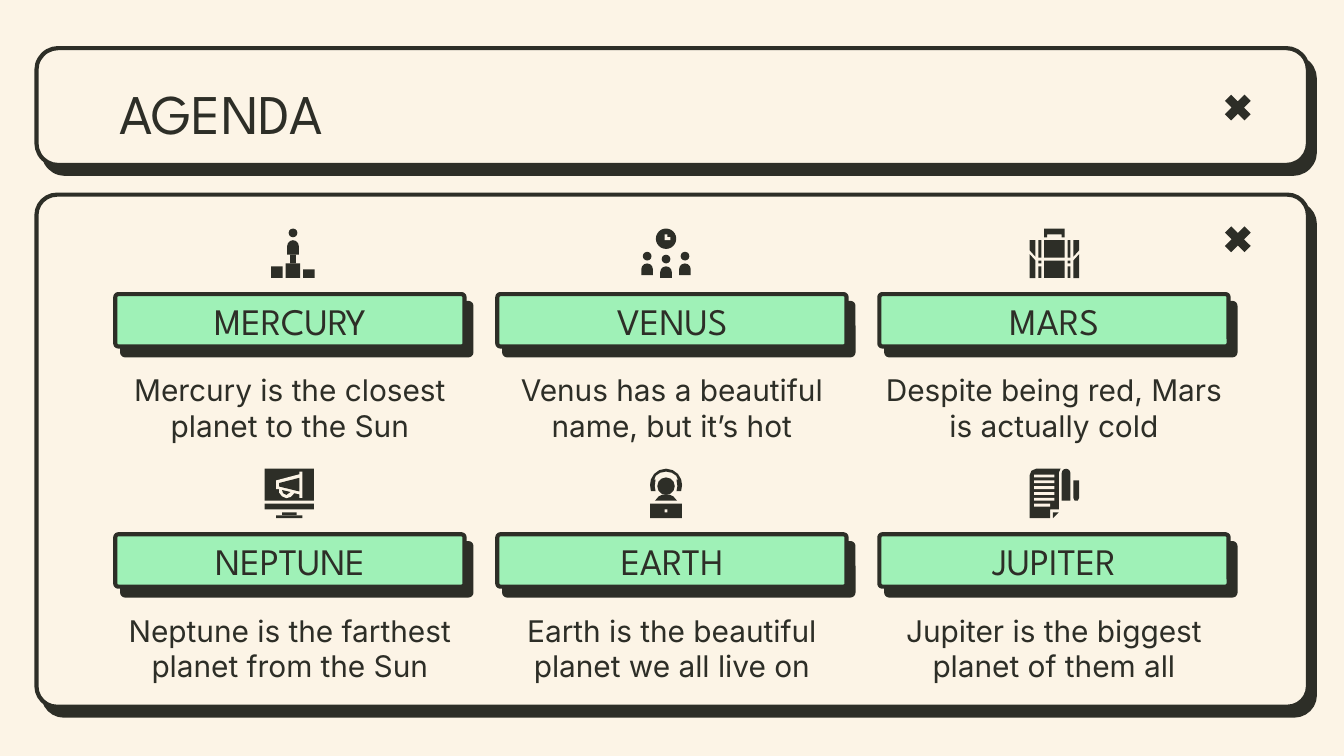
from lxml import etree
from pptx import Presentation, util as u
from pptx.dml.color import RGBColor
from pptx.enum import shapes, text
from pptx.oxml import ns

COLORS = {"ink": "2D2E27", "paper": "FCF4E6", "mint": "9FF1B7"}
HEAD_FONT, BODY_FONT = "League Spartan", "Inter"
PRESETS = {
    "rect": shapes.MSO_SHAPE.RECTANGLE,
    "oval": shapes.MSO_SHAPE.OVAL,
    "dome": shapes.MSO_SHAPE.ROUND_2_SAME_RECTANGLE,
}
ICON_UNIT, ICON_SPAN = 0.055, 17
COL_LEFT, COL_STEP, ROW_STEP = 2.18, 7.22, 4.54


def mirror(points):
    """Reflect points about the vertical axis of an icon."""
    return [(ICON_SPAN - x, y) for x, y in reversed(points)]


HEADSET = [(8.5, 0), (10.8, 0.5), (12.6, 1.8), (13.7, 3.7), (14, 5.6), (13.7, 7.7),
           (12.1, 7.7), (12.4, 6), (12.1, 3.8), (12.6, 3.8), (12, 2.4), (10.5, 1.4), (8.5, 1)]
SHOULDER = [(4.7, 11), (6, 9.5), (7.3, 8.9), (8.5, 8.8)]
BAG_TOP = [(0, 4), (2, 4), (2, 9.7), (0, 7.5)]
BAG_BASE = [(0, 8.8), (2, 11), (2, 17), (0, 17)]

PODIUM = [
    ("oval", "ink", [(7, 0, 3, 3)]),
    ("dome", "ink", [(6.5, 4, 4, 5)]),
    ("rect", "ink", [(7.5, 9, 2, 3), (6, 12, 5, 5), (1, 13, 4, 4), (12, 14, 4, 3)]),
]
MEETING = [
    ("oval", "ink", [(5, 0, 7, 7), (0.5, 8, 3, 3), (7, 9, 3, 3), (13.5, 8, 3, 3)]),
    ("dome", "ink", [(0, 12, 4, 4), (6.5, 13, 4, 4), (13, 12, 4, 4)]),
    ("poly", "paper", [[(8, 2), (9, 2), (9, 3), (10, 3), (10, 4), (8, 4)]]),
]
SUITCASE = [
    ("poly", "ink", [
        [(5, 0), (12, 0), (12, 3), (11, 3), (11, 2), (6, 2), (6, 3), (5, 3)],
        BAG_TOP, BAG_BASE, mirror(BAG_TOP), mirror(BAG_BASE)]),
    ("rect", "ink", [(5, 4, 7, 6), (5, 11, 7, 6)]
     + [(x, y, 1, h) for x in (3, 13) for y, h in ((4, 6), (11, 1), (13, 4))]),
]
MONITOR = [
    ("rect", "ink", [(0, 0, 17, 11), (0, 12, 17, 2), (6, 15, 5, 1), (4, 16, 9, 1)]),
    ("poly", "paper", [[(13, 1), (13, 10), (12, 10), (12, 8.8), (10.2, 8.4), (9, 9.7),
                        (7.5, 10.1), (6, 9.5), (5, 8.2), (5, 7), (4, 7), (4, 4),
                        (12, 1.9), (12, 1)]]),
    ("poly", "ink", [[(12, 3.1), (5, 4.9), (5, 6.1), (12, 7.8)],
                     [(6, 7.3), (6.4, 8.4), (7.5, 9), (8.9, 8)]]),
]
OPERATOR = [
    ("poly", "ink", [HEADSET + mirror(HEADSET), SHOULDER + mirror(SHOULDER)]),
    ("oval", "ink", [(5.5, 3, 6, 6)]),
    ("rect", "ink", [(3, 12, 11, 5)]),
    ("rect", "paper", [(8, 14, 1, 1)]),
]
DOCUMENT = [
    ("poly", "ink", [
        [(0, 2.2), (0.6, 0.7), (2.2, 0), (10.6, 0), (10, 1.4), (10, 14), (7, 14), (7, 17), (0, 17)],
        [(8, 15), (10, 15), (8, 17)],
        [(15, 4), (17, 4), (17, 10), (16.5, 11), (15.5, 11), (15, 10)]]),
    ("dome", "ink", [(11, 0, 3, 11)]),
    ("rect", "paper", [(1.5, y, 7, 1) for y in range(2, 12, 2)] + [(1.5, 12, 5.5, 1)]),
]

TOPICS = [
    [("MERCURY", "Mercury is the closest planet to the Sun", PODIUM, 5.07),
     ("VENUS", "Venus has a beautiful name, but it’s hot", MEETING, 12.12),
     ("MARS", "Despite being red, Mars is actually cold", SUITCASE, 19.46)],
    [("NEPTUNE", "Neptune is the farthest planet from the Sun", MONITOR, 5.0),
     ("EARTH", "Earth is the beautiful planet we all live on", OPERATOR, 12.12),
     ("JUPITER", "Jupiter is the biggest planet of them all", DOCUMENT, 19.46)],
]


def rgb(name):
    """Look up a palette colour."""
    return RGBColor.from_string(COLORS[name])


def paint(sp, color):
    """Give a shape a flat fill with no line or shadow."""
    sp.shadow.inherit = False
    sp.fill.solid()
    sp.fill.fore_color.rgb = rgb(color)
    sp.line.fill.background()


def add_preset(container, kind, box, color):
    """Add a flat preset shape at a box in centimetres."""
    sp = container.add_shape(kind, *map(u.Cm, box))
    paint(sp, color)
    return sp


def add_card(s, box, color, radius):
    """Add an outlined rounded card with a hard drop shadow."""
    sp = add_preset(s.shapes, shapes.MSO_SHAPE.ROUNDED_RECTANGLE, box, color)
    sp.adjustments[0] = radius
    sp.line.color.rgb = rgb("ink")
    sp.line.width = u.Pt(2.25)
    effects = sp._element.spPr.find(ns.qn("a:effectLst"))
    shadow = etree.SubElement(effects, ns.qn("a:outerShdw"), dist=str(u.Pt(6)),
                              dir=str(52 * 60000), algn="bl", rotWithShape="0")
    etree.SubElement(shadow, ns.qn("a:srgbClr"), val=COLORS["ink"])


def add_cross(s, top):
    """Add a window-style close mark."""
    sp = add_preset(s.shapes, shapes.MSO_SHAPE.MATH_MULTIPLY, (23.04, top, 0.71, 0.71), "ink")
    sp.adjustments[0] = 0.235


def add_text(s, box, content, font, size, align, anchor):
    """Add a wrapped text box holding one run."""
    tf = s.shapes.add_textbox(*map(u.Cm, box)).text_frame
    tf.word_wrap = True
    tf.vertical_anchor = anchor
    tf.margin_left = tf.margin_right = tf.margin_top = tf.margin_bottom = u.Cm(0.25)
    p = tf.paragraphs[0]
    p.alignment = align
    r = p.add_run()
    r.text = content
    r.font.name = font
    r.font.size = u.Pt(size)
    r.font.color.rgb = rgb("ink")


def add_polygon(container, points, left, top, color):
    """Add a closed outline given in icon units."""
    spots = [(u.Cm(left + x * ICON_UNIT), u.Cm(top + y * ICON_UNIT)) for x, y in points]
    builder = container.build_freeform(*spots[0])
    builder.add_line_segments(spots[1:], close=True)
    paint(builder.convert_to_shape(), color)


def add_icon(s, pieces, left, top):
    """Add an icon as one group of flat pieces."""
    container = s.shapes.add_group_shape().shapes
    for kind, color, items in pieces:
        for item in items:
            if kind == "poly":
                add_polygon(container, item, left, top, color)
                continue
            x, y, w, h = (v * ICON_UNIT for v in item)
            sp = add_preset(container, PRESETS[kind], (left + x, top + y, w, h), color)
            if kind == "dome":
                sp.adjustments[0] = 0.5


def add_topic(s, col, row, topic):
    """Add one agenda topic with its icon, label and description."""
    name, description, icon, icon_left = topic
    left, drop = COL_LEFT + col * COL_STEP, row * ROW_STEP
    center, middle = text.PP_ALIGN.CENTER, text.MSO_ANCHOR.MIDDLE
    add_card(s, (left, 5.56 + drop, 6.6, 0.99), "mint", 0.057)
    add_text(s, (left + 0.46, 5.46 + drop, 5.69, 1.19), name, HEAD_FONT, 20, center, middle)
    add_text(s, (left - 0.18, 6.91 + drop, 6.96, 1.6), description, BODY_FONT, 16, center, middle)
    add_icon(s, icon, icon_left, 4.32 + drop)


def main():
    """Build the agenda slide."""
    prs = Presentation()
    prs.slide_width, prs.slide_height = u.Cm(25.4), u.Cm(14.29)
    s = prs.slides.add_slide(prs.slide_layouts[6])
    s.background.fill.solid()
    s.background.fill.fore_color.rgb = rgb("paper")
    for top, height, radius, cross_top in ((3.68, 9.68, 0.04, 4.17), (0.91, 2.21, 0.186, 1.68)):
        add_card(s, (0.69, top, 24.03, height), "paper", radius)
        add_cross(s, cross_top)
    add_text(s, (2, 1.24, 21.41, 1.6), "AGENDA", HEAD_FONT, 30,
             text.PP_ALIGN.LEFT, text.MSO_ANCHOR.TOP)
    for row, topics in enumerate(TOPICS):
        for col, topic in enumerate(topics):
            add_topic(s, col, row, topic)
    prs.save("out.pptx")


if __name__ == "__main__":
    main()
